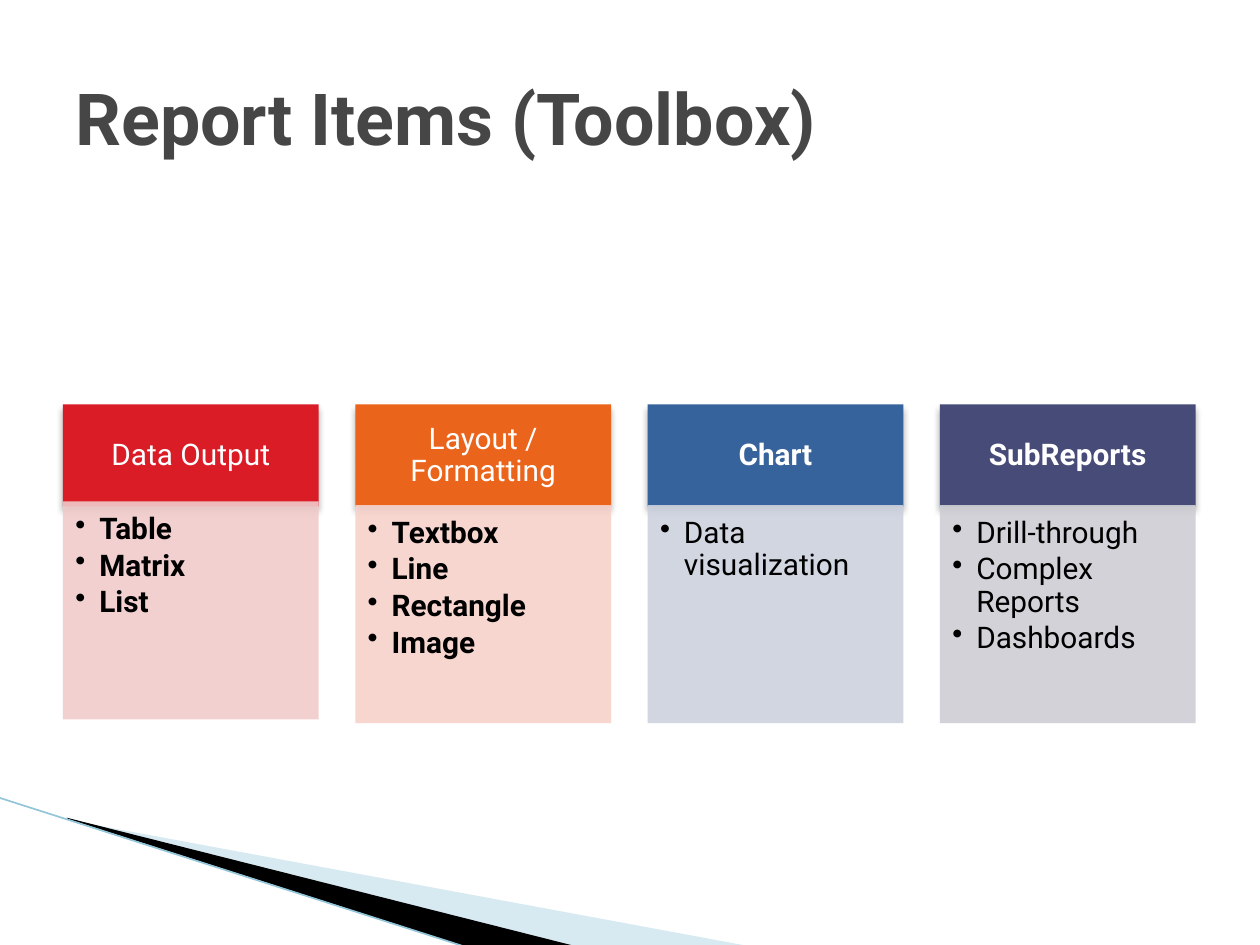
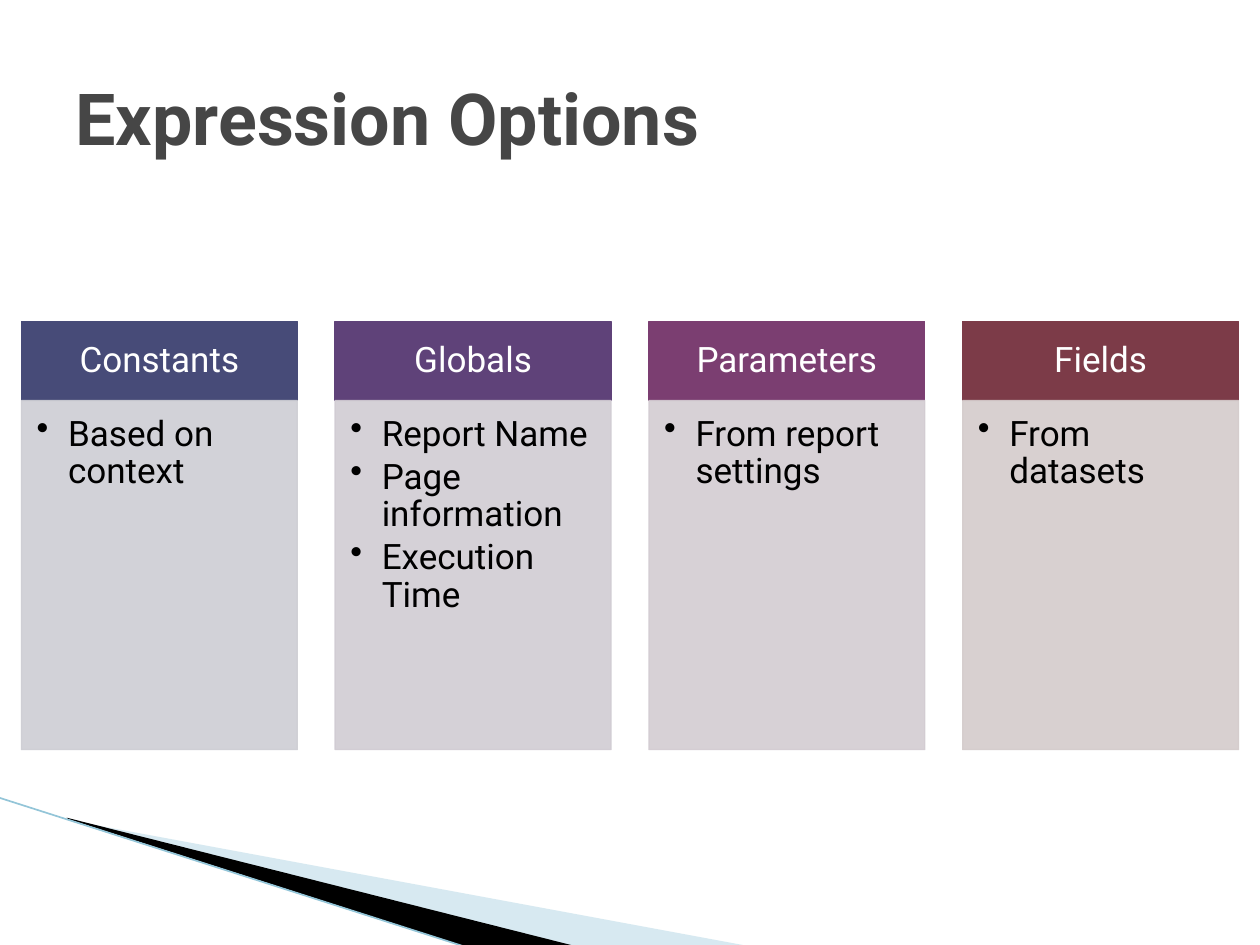
from lxml import etree
from pptx import Presentation
from pptx.dml.color import RGBColor
from pptx.enum import shapes, text
from pptx.oxml import ns
from pptx.util import Inches, Pt

COLORS = {
    "title": "464646", "white": "FFFFFF", "black": "000000",
    "swoosh": "9CCADC", "edge": "93C5D8",
    "red": "DA1C27", "red_tint": "F1CBCB",
    "orange": "EB641B", "orange_tint": "F7D2CB",
    "blue": "37639C", "blue_tint": "CCD2DE",
    "indigo": "474B78", "indigo_tint": "CECED4",
    "purple": "5F4279", "purple_tint": "D1CCD3",
    "plum": "7B3E71", "plum_tint": "D3CCD2",
    "maroon": "7C3B48", "maroon_tint": "D4CBCB",
}

# Lengths in inches, text sizes and spacing in points
TOOLBOX = dict(left=0.5, pitch=2.32, width=2.03, head_top=3.21, head_height=0.81,
               body_top=4.01, body_height=1.73, size=17, indent=0.19, gap=2.5,
               head_insets=(0.13, 0.08, 0.13, 0.08), body_insets=(0.1, 0.1, 0.13, 0.15),
               outlined=False)
OPTIONS = dict(left=0.17, pitch=2.49, width=2.19, head_top=2.55, head_height=0.63,
               body_top=3.18, body_height=2.77, size=20, indent=0.25, gap=3,
               head_insets=(0.16, 0.09, 0.16, 0.09), body_insets=(0.12, 0.12, 0.16, 0.17),
               outlined=True)


def rgb(name):
    return RGBColor.from_string(COLORS[name])


def sub(parent, tag, **attrs):
    """Append a DrawingML child element."""
    return etree.SubElement(parent, ns.qn(tag), {k: str(v) for k, v in attrs.items()})


class Deck:
    font = "Roboto"

    def __init__(self):
        self.prs = Presentation()
        self.prs.slide_width, self.prs.slide_height = Inches(10), Inches(7.5)
        self.slide = None

    def add_slide(self, title):
        self.slide = self.prs.slides.add_slide(self.prs.slide_layouts[5])
        self.swoosh()
        self.title(title)

    def swoosh(self):
        """Draw the corner decoration shared by all slides."""
        self.outline([(0.55, 6.51), (5.95, 7.51), (4.56, 7.51), (0.55, 6.5)], "swoosh", 40)
        self.outline([(0.53, 6.49), (4.57, 7.51), (3.72, 7.52), (0.54, 6.5)], "black")
        self.line((-0.01, 6.33), (3.71, 7.52), "edge", 0.95)

    def outline(self, points, color, opacity=100):
        start, *rest = [(Inches(x), Inches(y)) for x, y in points]
        builder = self.slide.shapes.build_freeform(*start)
        builder.add_line_segments(rest)
        self.paint(builder.convert_to_shape(), color, opacity)

    def line(self, start, end, color, width):
        s = self.slide.shapes.add_connector(
            shapes.MSO_CONNECTOR.STRAIGHT, *[Inches(v) for v in start + end])
        s.line.color.rgb, s.line.width = rgb(color), Pt(width)
        sub(s._element.spPr, "a:effectLst")

    def paint(self, s, color, opacity=100, outlined=False):
        s.fill.solid()
        s.fill.fore_color.rgb = rgb(color)
        if outlined:
            s.line.color.rgb, s.line.width = rgb(color), Pt(0.75)
        else:
            s.line.fill.background()
        if opacity < 100:
            for clr in s._element.spPr.iter(ns.qn("a:srgbClr")):
                sub(clr, "a:alpha", val=opacity * 1000)
        s.shadow.inherit = False

    def drop_shadow(self, s):
        effects = s._element.spPr.find(ns.qn("a:effectLst"))
        shadow = sub(effects, "a:outerShdw", blurRad=Pt(4), dist=Pt(3),
                     dir=90 * 60000, rotWithShape=0)
        sub(sub(shadow, "a:srgbClr", val=COLORS["black"]), "a:alpha", val=35000)

    def frame(self, s, insets, anchor):
        tf = s.text_frame
        sides = ("margin_left", "margin_top", "margin_right", "margin_bottom")
        values = dict(zip(sides, map(Inches, insets)), word_wrap=True,
                      auto_size=text.MSO_AUTO_SIZE.NONE, vertical_anchor=anchor)
        for name, value in values.items():
            setattr(tf, name, value)
        return tf

    def add_words(self, p, words, size, color, bold=False, **layout):
        """Fill a paragraph with one run; layout holds paragraph attributes."""
        for name, value in layout.items():
            setattr(p, name, value)
        r = p.add_run()
        r.text = words
        for name, value in dict(name=self.font, size=Pt(size), bold=bold).items():
            setattr(r.font, name, value)
        r.font.color.rgb = rgb(color)

    def title(self, words):
        s = self.slide.shapes.title
        s.left, s.top, s.width, s.height = map(Inches, (0.5, 0.3, 9, 1.25))
        tf = self.frame(s, (0.1, 0.05, 0.1, 0.05), text.MSO_ANCHOR.MIDDLE)
        self.add_words(tf.paragraphs[0], words, 41, "title", True,
                       alignment=text.PP_ALIGN.LEFT)

    def rect(self, *box):
        return self.slide.shapes.add_shape(shapes.MSO_SHAPE.RECTANGLE, *map(Inches, box))

    def header(self, x, words, color, bold, style):
        s = self.rect(x, style["head_top"], style["width"], style["head_height"])
        self.paint(s, color, outlined=style["outlined"])
        if not style["outlined"]:
            self.drop_shadow(s)
        tf = self.frame(s, style["head_insets"], text.MSO_ANCHOR.MIDDLE)
        self.add_words(tf.paragraphs[0], words, style["size"], "white", bold,
                       alignment=text.PP_ALIGN.CENTER, line_spacing=0.9)

    def bullets(self, x, items, color, bold, style, lift=0):
        s = self.rect(x, style["body_top"] - lift, style["width"], style["body_height"])
        self.paint(s, color, 90, style["outlined"])
        tf = self.frame(s, style["body_insets"], text.MSO_ANCHOR.TOP)
        indent = Inches(style["indent"])
        for i, item in enumerate(items):
            p = tf.add_paragraph() if i else tf.paragraphs[0]
            pPr = p._p.get_or_add_pPr()
            pPr.set("marL", str(indent))
            pPr.set("indent", str(-indent))
            sub(sub(pPr, "a:buClr"), "a:srgbClr", val=COLORS["black"])
            sub(pPr, "a:buChar", char="•")
            self.add_words(p, item, style["size"], "black", bold, line_spacing=0.9,
                           alignment=text.PP_ALIGN.LEFT,
                           space_before=Pt(style["gap"] if i else 0))

    def columns(self, style, columns):
        """Place equally spaced cards, each a header above a bulleted list."""
        for i, col in enumerate(columns):
            x = style["left"] + i * style["pitch"]
            self.header(x, col["head"], col["color"], col.get("bold_head", False), style)
            self.bullets(x, col["items"], col["color"] + "_tint",
                         col.get("bold_items", False), style, col.get("lift", 0))


def main():
    deck = Deck()

    deck.add_slide("Report Items (Toolbox)")
    deck.columns(TOOLBOX, [
        dict(head="Data Output", color="red", items=["Table", "Matrix", "List"],
             bold_items=True, lift=0.03),
        dict(head="Layout / Formatting", color="orange", bold_items=True,
             items=["Textbox", "Line", "Rectangle", "Image"]),
        dict(head="Chart", color="blue", items=["Data visualization"], bold_head=True),
        dict(head="SubReports", color="indigo", bold_head=True,
             items=["Drill-through", "Complex Reports", "Dashboards"]),
    ])

    deck.add_slide("Expression Options")
    deck.columns(OPTIONS, [
        dict(head="Constants", color="indigo", items=["Based on context"]),
        dict(head="Globals", color="purple",
             items=["Report Name", "Page information", "Execution Time"]),
        dict(head="Parameters", color="plum", items=["From report settings"]),
        dict(head="Fields", color="maroon", items=["From datasets"]),
    ])

    deck.prs.save("out.pptx")


if __name__ == "__main__":
    main()
